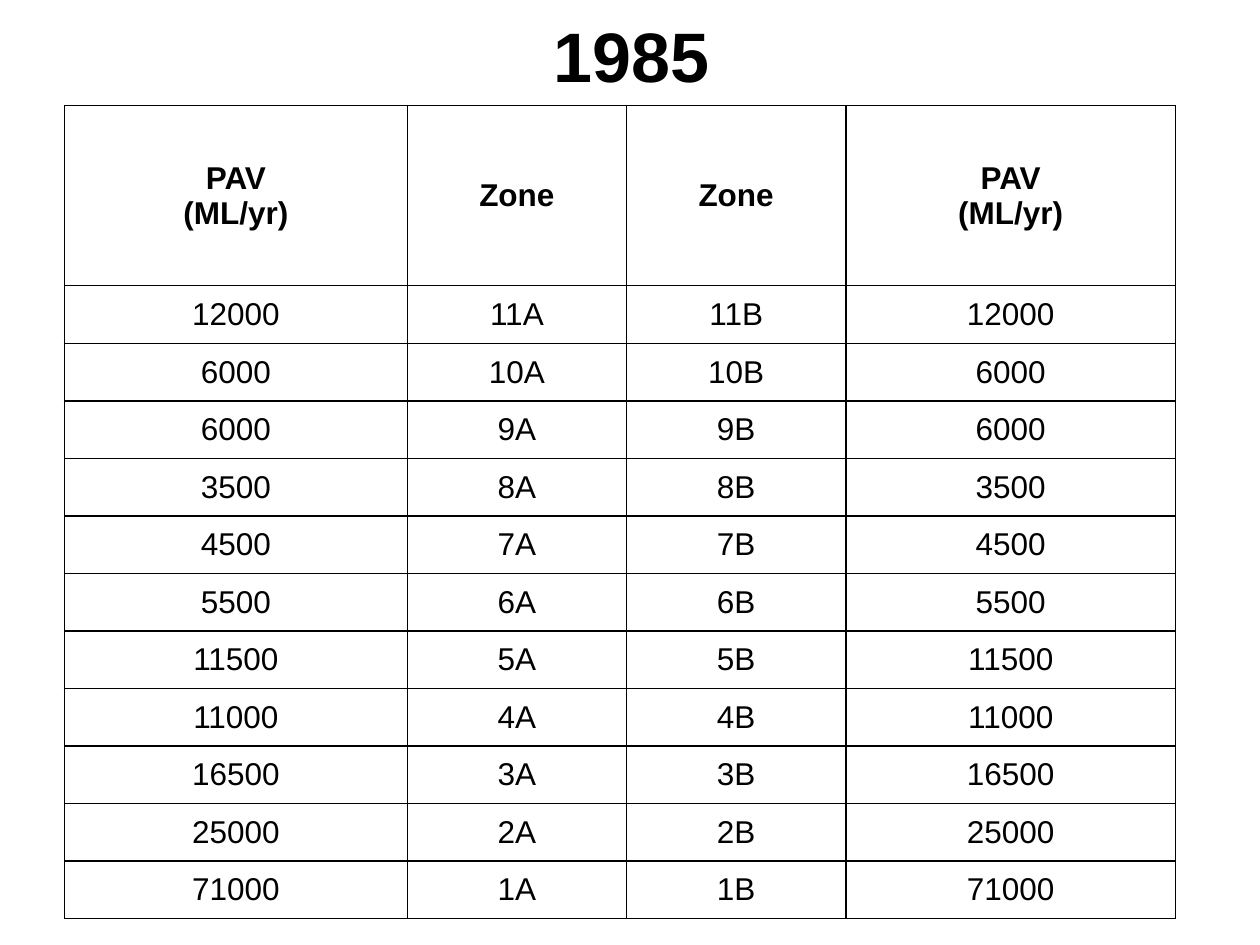
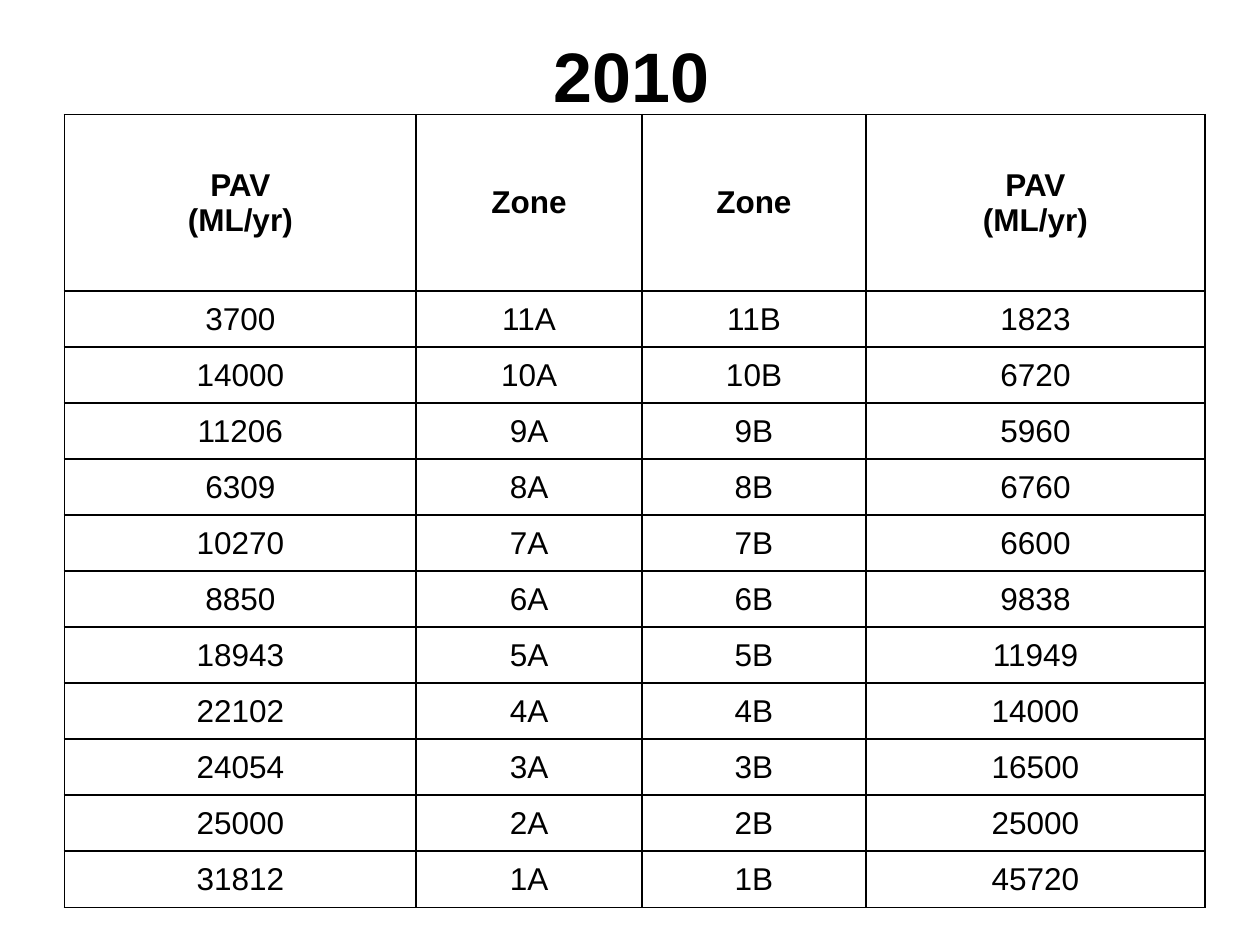
from dataclasses import dataclass

from lxml.etree import SubElement
from pptx import Presentation
from pptx.dml.color import RGBColor
from pptx.enum.text import MSO_ANCHOR, MSO_AUTO_SIZE, PP_ALIGN
from pptx.oxml.ns import qn
from pptx.util import Cm, Pt


@dataclass(frozen=True)
class Theme:
    font: str = "Arial"
    ink: str = "000000"
    title_size: int = 40
    table_size: int = 18
    border: int = 1


theme = Theme()


def format_text(tf, size, bold, align):
    for p in tf.paragraphs:
        p.alignment = align
        for r in p.runs:
            r.font.name = theme.font
            r.font.size = Pt(size)
            r.font.bold = bold
            r.font.color.rgb = RGBColor.from_string(theme.ink)


def add_borders(cell):
    tc_pr = cell._tc.get_or_add_tcPr()
    for i, side in enumerate(("lnL", "lnR", "lnT", "lnB")):
        ln = SubElement(tc_pr, qn(f"a:{side}"), w=str(Pt(theme.border)))
        fill = SubElement(ln, qn("a:solidFill"))
        SubElement(fill, qn("a:srgbClr"), val=theme.ink)
        tc_pr.insert(i, ln)


pav_1985 = [12000, 6000, 6000, 3500, 4500, 5500, 11500, 11000, 16500, 25000, 71000]
pav_2010_a = [3700, 14000, 11206, 6309, 10270, 8850, 18943, 22102, 24054, 25000, 31812]
pav_2010_b = [1823, 6720, 5960, 6760, 6600, 9838, 11949, 14000, 16500, 25000, 45720]

header = ("PAV\n(ML/yr)", "Zone", "Zone", "PAV\n(ML/yr)")
table_left = 1.3
title_left, title_height = 10.9, 1.96

years = [
    dict(title="1985", title_top=0.13, title_width=3.66, table_top=2.13,
         cols=(6.91, 4.42, 4.42, 6.65), header_height=3.63, row_height=1.16,
         pav_a=pav_1985, pav_b=pav_1985),
    dict(title="2010", title_top=0.53, title_width=4.39, table_top=2.31,
         cols=(7.09, 4.55, 4.52, 6.83), header_height=3.56, row_height=1.13,
         pav_a=pav_2010_a, pav_b=pav_2010_b),
]

prs = Presentation()
prs.slide_width, prs.slide_height = Cm(25.4), Cm(19.05)

for year in years:
    s = prs.slides.add_slide(prs.slide_layouts[5])

    title = s.shapes.title
    title.left, title.top = Cm(title_left), Cm(year["title_top"])
    title.width, title.height = Cm(year["title_width"]), Cm(title_height)
    tf = title.text_frame
    tf.text = year["title"]
    tf.word_wrap = True
    tf.auto_size = MSO_AUTO_SIZE.NONE
    tf.vertical_anchor = MSO_ANCHOR.TOP
    format_text(tf, theme.title_size, True, PP_ALIGN.LEFT)

    zones = range(len(year["pav_a"]), 0, -1)
    rows = [header] + [
        (str(a), f"{zone}A", f"{zone}B", str(b))
        for a, zone, b in zip(year["pav_a"], zones, year["pav_b"])
    ]
    heights = [year["header_height"]] + [year["row_height"]] * len(zones)

    table = s.shapes.add_table(
        len(rows), len(header), Cm(table_left), Cm(year["table_top"]),
        Cm(sum(year["cols"])), Cm(sum(heights)),
    ).table
    table.first_row = False
    table.horz_banding = False
    for col, width in zip(table.columns, year["cols"]):
        col.width = Cm(width)

    for i, (row, values) in enumerate(zip(table.rows, rows)):
        row.height = Cm(heights[i])
        for cell, value in zip(row.cells, values):
            cell.text_frame.text = value
            cell.vertical_anchor = MSO_ANCHOR.MIDDLE
            cell.fill.background()
            add_borders(cell)
            format_text(cell.text_frame, theme.table_size, i == 0, PP_ALIGN.CENTER)

prs.save("out.pptx")
